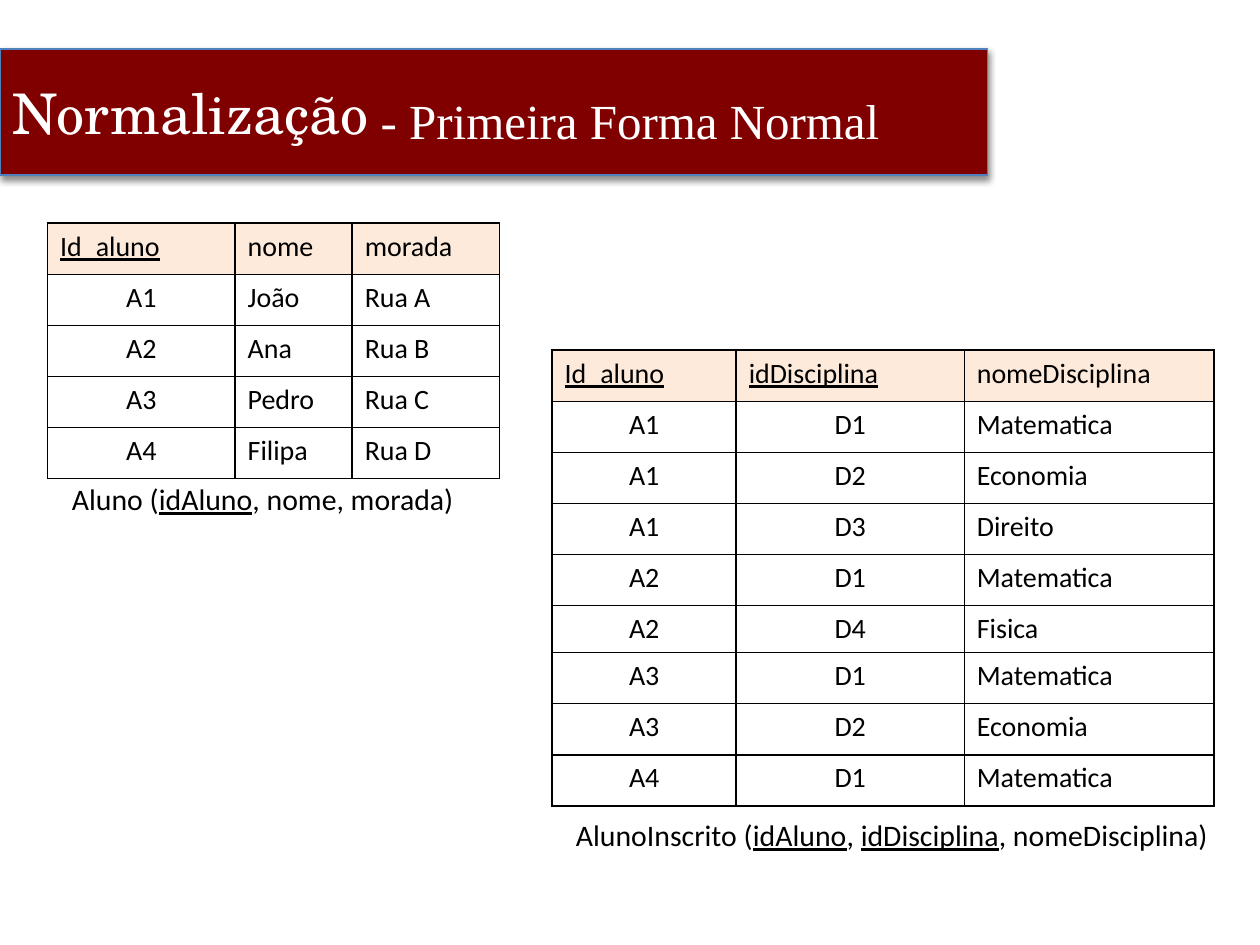
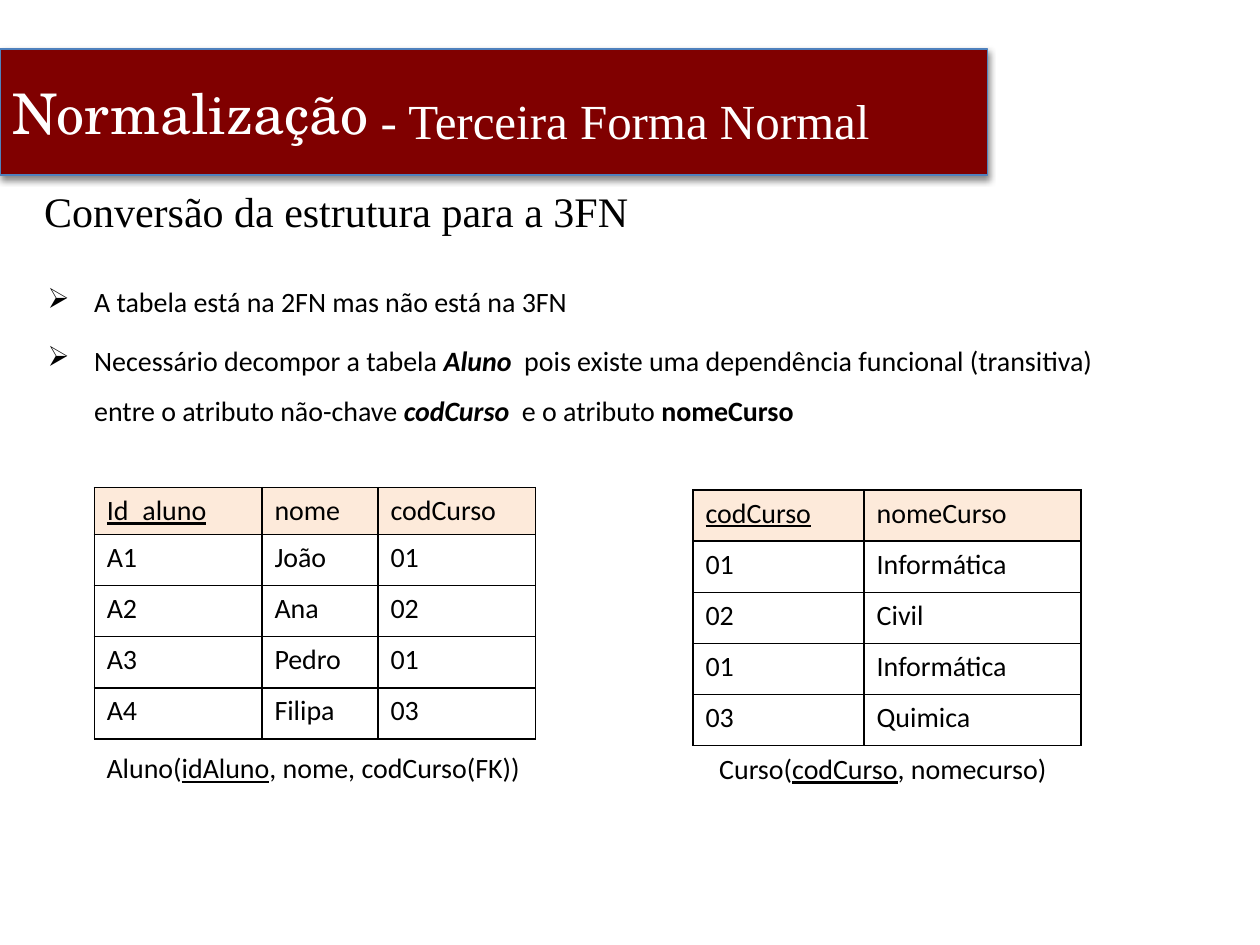
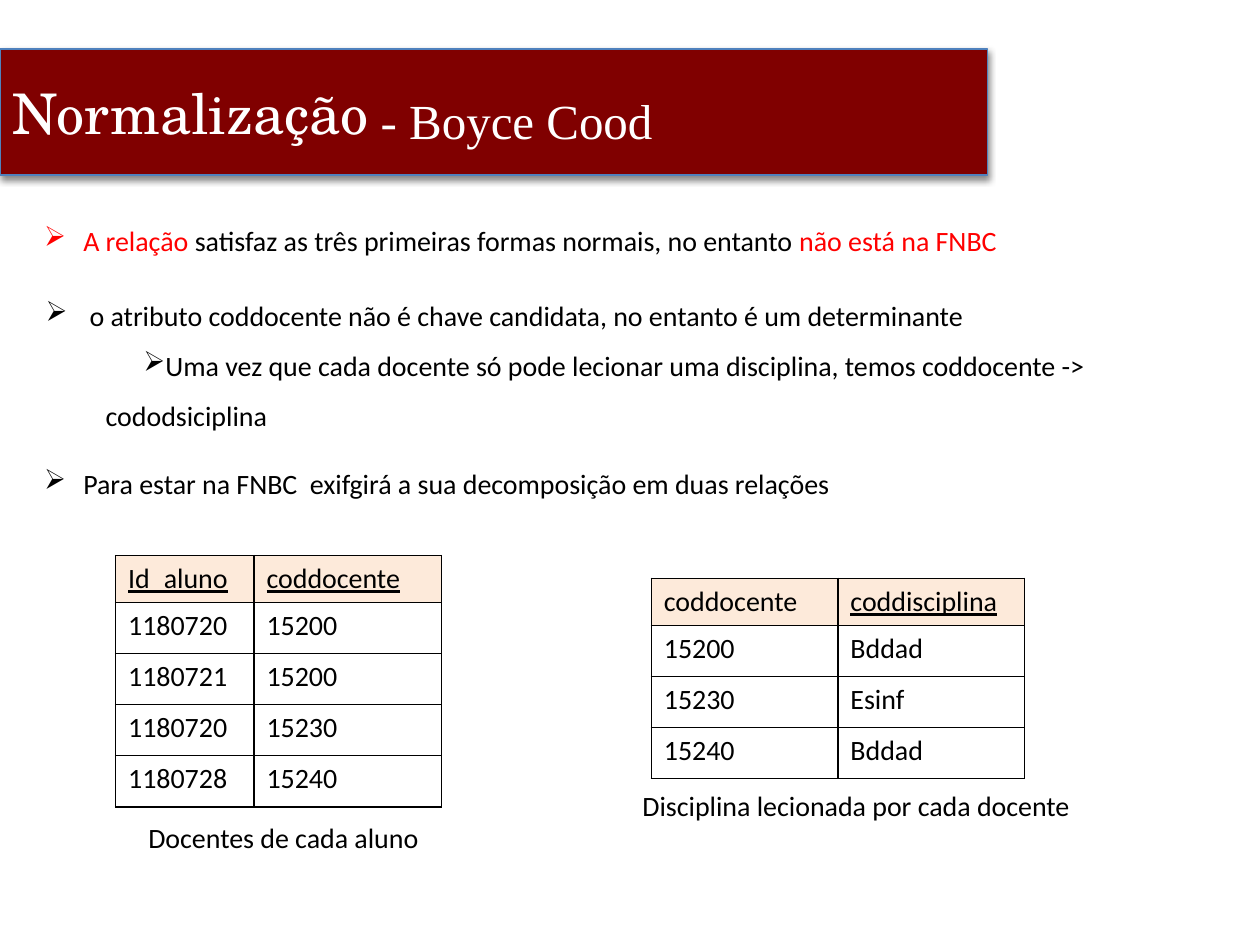
from lxml.etree import SubElement
from pptx import Presentation
from pptx.dml.color import RGBColor
from pptx.enum.shapes import MSO_SHAPE
from pptx.enum.text import MSO_ANCHOR, PP_ALIGN
from pptx.oxml import parse_xml
from pptx.oxml.ns import nsdecls, qn
from pptx.util import Cm, Pt

COLORS = {"band": "800000", "band_line": "4F81BD", "header": "FDEADA",
          "text": "000000", "light": "FFFFFF", "alert": "FF0000"}
BODY, SERIF, BAND_FONT = "Calibri", "Times New Roman", "TeX Gyre Schola"
ROW, SHORT_ROW, BORDER = 1.03, 0.94, Pt(1)
BAND_BOX = (0, 0.99, 19.91, 2.54)
TITLE_BOX = (7.42, 1.7, 11.23, 1.47)

# Named looks of a span: a span is a plain string or (text, look)
LOOKS = {
    "key": {"underline": True},
    "bold": {"bold": True},
    "term": {"bold": True, "italic": True},
    "alert": {"color": "alert"},
}

# Paragraph formats
CAPTION = {"line_spacing": 0.9, "space_before": Pt(4.5)}
WIDE = {"line_spacing": 1.5}
WIDE_APART = {"line_spacing": 1.5, "space_before": Pt(4.5)}

# Content: every text is (box, size, font, paragraphs),
# every paragraph is (spans, format, left margin, first indent, bullet)
PAGES = [
    {
        "title": "- Primeira Forma Normal",
        "tables": [
            {"at": (0.96, 4.5), "columns": (3.78, 2.36, 2.97), "centred": 1, "short": None,
             "rows": [[("Id_aluno", "key"), "nome", "morada"],
                      ["A1", "João", "Rua A"], ["A2", "Ana", "Rua B"],
                      ["A3", "Pedro", "Rua C"], ["A4", "Filipa", "Rua D"]]},
            {"at": (11.13, 7.06), "columns": (3.71, 4.6, 5.03), "centred": 2, "short": 5,
             "rows": [[("Id_aluno", "key"), ("idDisciplina", "key"), "nomeDisciplina"],
                      ["A1", "D1", "Matematica"], ["A1", "D2", "Economia"],
                      ["A1", "D3", "Direito"], ["A2", "D1", "Matematica"],
                      ["A2", "D4", "Fisica"], ["A3", "D1", "Matematica"],
                      ["A3", "D2", "Economia"], ["A4", "D1", "Matematica"]]},
        ],
        "texts": [
            ((0.97, 9.65, 8.66, 0.91), 17, BODY,
             [(["Aluno (", ("idAluno", "key"), ", nome, morada)"], CAPTION, 0.23, 0, None)]),
            ((11.13, 16.43, 14.07, 0.91), 17, BODY,
             [(["AlunoInscrito (", ("idAluno", "key"), ", ", ("idDisciplina", "key"),
                ", nomeDisciplina)"], CAPTION, 0.23, 0, None)]),
        ],
    },
    {
        "title": "- Terceira Forma Normal",
        "tables": [
            {"at": (1.9, 9.83), "columns": (3.38, 2.34, 3.18), "centred": 0, "short": 0,
             "rows": [[("Id_aluno", "key"), "nome", "codCurso"],
                      ["A1", "João", "01"], ["A2", "Ana", "02"],
                      ["A3", "Pedro", "01"], ["A4", "Filipa", "03"]]},
            {"at": (13.97, 9.88), "columns": (3.45, 4.37), "centred": 0, "short": None,
             "rows": [[("codCurso", "key"), "nomeCurso"],
                      ["01", "Informática"], ["02", "Civil"],
                      ["01", "Informática"], ["03", "Quimica"]]},
        ],
        "texts": [
            ((0.64, 3.61, 22.86, 2.54), 24, SERIF,
             [(["Conversão da estrutura para a 3FN"], {}, 0, 0, None)]),
            ((0.71, 5.28, 22.86, 3.18), 16, BODY,
             [(["A tabela está na 2FN mas não está na 3FN"], WIDE_APART, 0.94, -0.94, "➢"),
              (["Necessário decompor a tabela ", ("Aluno", "term"),
                "  pois existe uma dependência funcional (transitiva)  "
                "entre o atributo não-chave ", ("codCurso", "term"),
                "  e o atributo ", ("nomeCurso", "bold")], WIDE_APART, 0.94, -0.94, "➢")]),
            ((1.9, 15.09, 8.94, 0.86), 16, BODY,
             [(["Aluno(", ("idAluno", "key"), ", nome, codCurso(FK))"], CAPTION, 0, 0, None)]),
            ((14.25, 15.11, 7.19, 0.86), 16, BODY,
             [(["Curso(", ("codCurso", "key"), ", nomecurso)"], CAPTION, 0, 0, None)]),
        ],
    },
    {
        "title": "- Boyce Cood",
        "tables": [
            {"at": (2.33, 11.2), "columns": (2.79, 3.78), "centred": 0, "short": 0,
             "rows": [[("Id_aluno", "key"), ("coddocente", "key")],
                      ["1180720", "15200"], ["1180721", "15200"],
                      ["1180720", "15230"], ["1180728", "15240"]]},
            {"at": (13.13, 11.66), "columns": (3.76, 3.76), "centred": 0, "short": 0,
             "rows": [["coddocente", ("coddisciplina", "key")],
                      ["15200", "Bddad"], ["15230", "Esinf"], ["15240", "Bddad"]]},
        ],
        "texts": [
            ((0.64, 4.04, 22.76, 6.43), 16, BODY,
             [([("A relação ", "alert"),
                "satisfaz as três primeiras formas normais, no entanto ",
                ("não está na FNBC", "alert")], WIDE, 0.79, -0.79, "➢"),
              ([" o atributo coddocente não é chave candidata, no entanto é um determinante"],
               {**WIDE, "space_before": Pt(14)}, 0.79, -0.76, "➢"),
              (["Uma vez que cada docente só pode lecionar uma disciplina, "
                "temos coddocente -> cododsiciplina"], WIDE, 1.24, 0.76, "➢"),
              (["Para estar na FNBC  exifgirá a sua decomposição em duas relações"],
               {"space_before": Pt(19.5)}, 0.79, -0.79, "➢")]),
            ((2.74, 16.41, 6.15, 0.94), 16, BODY,
             [(["Docentes de cada aluno"], {}, 0, 0, None)]),
            ((12.7, 15.77, 9.32, 0.94), 16, BODY,
             [(["Disciplina lecionada por cada docente"], {}, 0, 0, None)]),
        ],
    },
]


def rgb(name):
    return RGBColor.from_string(COLORS[name])


def apply(target, values):
    for name, value in values.items():
        setattr(target, name, value)


def lengths(values):
    return [Cm(value) for value in values]


def add_span(para, content, size, font, color="text"):
    text, look = (content, None) if isinstance(content, str) else content
    values = {"size": Pt(size), "name": font, **LOOKS.get(look, {})}
    color = values.pop("color", color)
    span = para.add_run()
    span.text = text
    apply(span.font, values)
    span.font.color.rgb = rgb(color)


def add_text(page, box, size, font, paragraphs):
    frame = page.shapes.add_textbox(*lengths(box)).text_frame
    frame.word_wrap = True
    for index, (spans, values, margin, indent, bullet) in enumerate(paragraphs):
        para = frame.add_paragraph() if index else frame.paragraphs[0]
        for content in spans:
            add_span(para, content, size, font)
        apply(para, values)
        properties = para._p.get_or_add_pPr()
        properties.set("marL", str(Cm(margin)))
        properties.set("indent", str(Cm(indent)))
        if bullet:
            SubElement(properties, qn("a:buChar")).set("char", bullet)


def add_borders(cell):
    properties = cell._tc.get_or_add_tcPr()
    for side in ("lnL", "lnR", "lnT", "lnB"):
        properties.append(parse_xml(
            f'<a:{side} {nsdecls("a")} w="{BORDER}"><a:solidFill>'
            f'<a:srgbClr val="{COLORS["text"]}"/></a:solidFill></a:{side}>'))


def add_grid(page, at, columns, rows, centred, short):
    heights = [SHORT_ROW if index == short else ROW for index in range(len(rows))]
    box = lengths((*at, sum(columns), sum(heights)))
    table = page.shapes.add_table(len(rows), len(columns), *box).table
    apply(table, {"first_row": False, "horz_banding": False})
    for column, width in zip(table.columns, columns):
        column.width = Cm(width)
    for row_index, (row, height) in enumerate(zip(rows, heights)):
        table.rows[row_index].height = Cm(height)
        for column_index, content in enumerate(row):
            cell = table.cell(row_index, column_index)
            add_borders(cell)
            para = cell.text_frame.paragraphs[0]
            add_span(para, content, 16, BODY)
            if row_index == 0:
                cell.fill.solid()
                cell.fill.fore_color.rgb = rgb("header")
            else:
                cell.fill.background()
                if column_index < centred:
                    para.alignment = PP_ALIGN.CENTER


def add_band(page):
    """Build the shared band and place it on the layout of the page."""
    band = page.shapes.add_shape(MSO_SHAPE.RECTANGLE, *lengths(BAND_BOX))
    band.fill.solid()
    band.fill.fore_color.rgb = rgb("band")
    band.line.color.rgb = rgb("band_line")
    band.line.width = Pt(0.75)
    band.text_frame.vertical_anchor = MSO_ANCHOR.MIDDLE
    para = band.text_frame.paragraphs[0]
    para.alignment = PP_ALIGN.LEFT
    add_span(para, "Normalização", 32, BAND_FONT, "light")
    band.element.spPr.append(parse_xml(
        f'<a:effectLst {nsdecls("a")}><a:outerShdw blurRad="{Pt(4)}" dist="{Pt(2)}" '
        f'dir="5400000" rotWithShape="0"><a:srgbClr val="{COLORS["text"]}">'
        '<a:alpha val="45000"/></a:srgbClr></a:outerShdw></a:effectLst>'))
    page.slide_layout.shapes.element.insert(2, band.element)


def set_title(page, text):
    title = page.shapes.title
    apply(title, dict(zip(("left", "top", "width", "height"), lengths(TITLE_BOX))))
    apply(title.text_frame, {"vertical_anchor": MSO_ANCHOR.TOP, "word_wrap": True})
    para = title.text_frame.paragraphs[0]
    para.alignment = PP_ALIGN.LEFT
    add_span(para, text, 28, SERIF, "light")


def main():
    deck = Presentation()
    deck.slide_width, deck.slide_height = Cm(25.4), Cm(19.05)
    layout = deck.slide_layouts[5]
    for number, content in enumerate(PAGES):
        page = deck.slides.add_slide(layout)
        if number == 0:
            add_band(page)
        set_title(page, content["title"])
        for table in content["tables"]:
            add_grid(page, **table)
        for text in content["texts"]:
            add_text(page, *text)
    deck.save("out.pptx")


if __name__ == "__main__":
    main()
